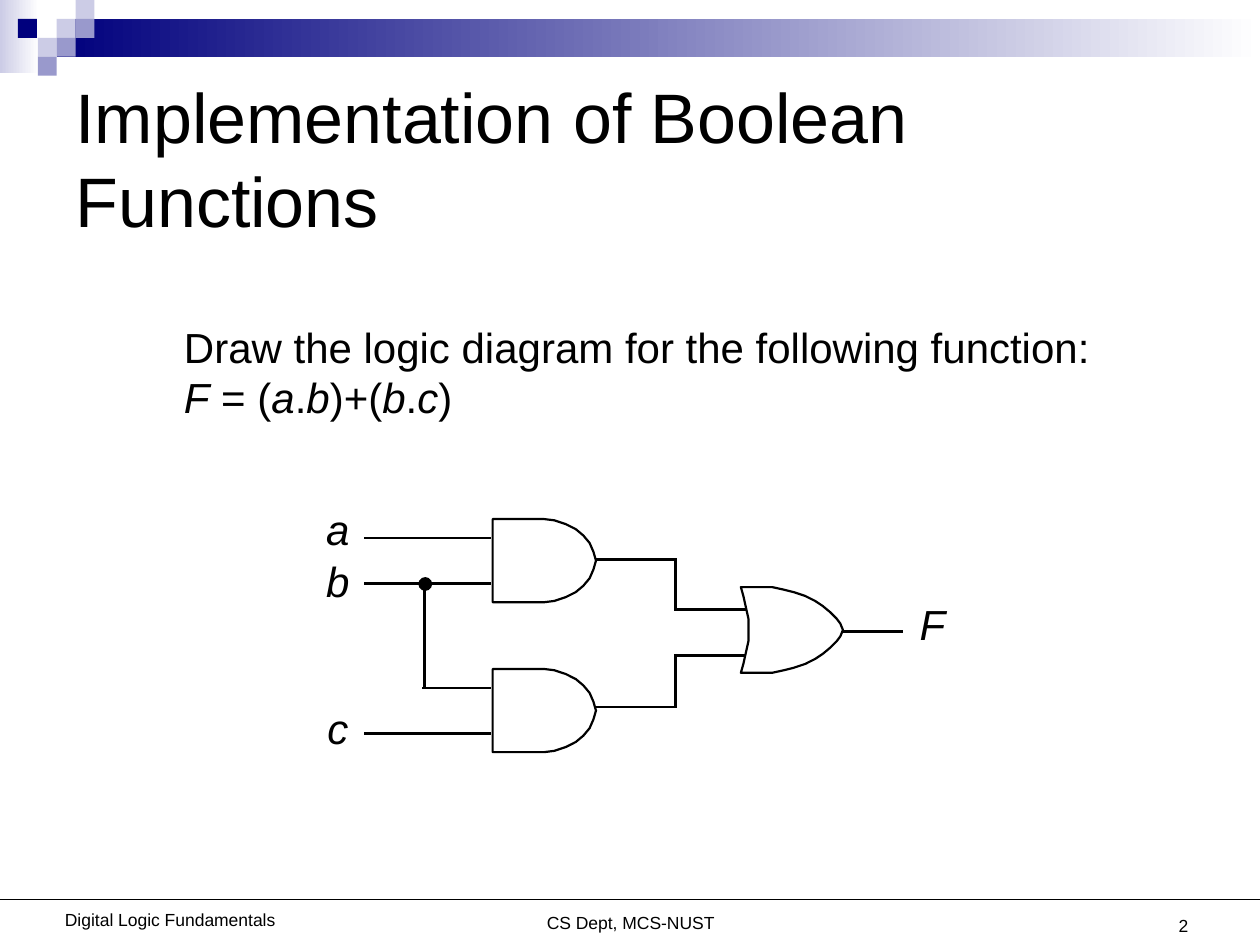
from dataclasses import dataclass

import pptx
import pptx.dml.color
import pptx.enum.shapes
import pptx.enum.text
import pptx.oxml.ns
import pptx.util
from lxml import etree

Inches = pptx.util.Inches
Pt = pptx.util.Pt
RGB = pptx.dml.color.RGBColor.from_string
SHAPE = pptx.enum.shapes.MSO_SHAPE
ALIGN = pptx.enum.text.PP_ALIGN
ANCHOR = pptx.enum.text.MSO_ANCHOR


@dataclass(frozen=True)
class Theme:
    font: str = "Arial"
    ink: str = "000000"
    paper: str = "FFFFFF"
    navy: str = "00007D"
    lilac: str = "CCCCE6"
    violet: str = "9999CC"
    title_size: float = 40
    body_size: float = 24
    footer_size: float = 10
    wire: float = 1.5
    outline: float = 1.25
    rule: float = 0.75


THEME = Theme()


@dataclass(frozen=True)
class Box:
    x: float
    y: float
    w: float
    h: float

    def lengths(self) -> list[int]:
        return [Inches(v) for v in (self.x, self.y, self.w, self.h)]


@dataclass(frozen=True)
class Wire:
    x1: float
    y1: float
    x2: float
    y2: float
    width: float = THEME.wire


@dataclass(frozen=True)
class Label:
    text: str
    box: Box


Point = tuple[float, float]

TILE = 0.15
TILES = [  # column, row, colour; columns count from x = 0.3
    (1, 1, THEME.lilac), (2, 0, THEME.lilac), (2, 1, THEME.violet),
    (0, 2, THEME.lilac), (-1.05, 1, THEME.navy), (1, 2, THEME.violet),
    (0, 3, THEME.violet),
]

# Upper halves of the gate outlines, relative to the left end of the centre line.
AND_HALF = [(0, -0.33), (0.41, -0.33), (0.49, -0.32), (0.58, -0.29), (0.66, -0.25),
            (0.72, -0.2), (0.77, -0.14), (0.8, -0.07), (0.82, 0)]
OR_HALF = [(0.06, 0), (0.06, -0.09), (0.04, -0.18), (0.02, -0.27), (0, -0.34),
           (0.25, -0.34), (0.34, -0.32), (0.42, -0.3), (0.51, -0.27), (0.59, -0.23),
           (0.65, -0.19), (0.71, -0.14), (0.76, -0.09), (0.79, -0.05), (0.81, 0)]

WIRES = [
    Wire(2.89, 4.27, 3.9, 4.27),
    Wire(2.89, 4.63, 3.9, 4.63),
    Wire(3.37, 4.62, 3.37, 5.45),
    Wire(3.35, 5.46, 3.9, 5.46),
    Wire(2.89, 5.82, 3.9, 5.82),
    Wire(4.73, 4.44, 5.37, 4.44),
    Wire(5.36, 4.43, 5.36, 4.85),
    Wire(5.37, 4.84, 5.92, 4.84),
    Wire(4.73, 5.61, 5.37, 5.61),
    Wire(5.36, 5.19, 5.36, 5.61),
    Wire(5.37, 5.2, 5.91, 5.2),
    Wire(6.69, 5.01, 7.17, 5.01),
]

SIGNALS = [
    Label("a", Box(2.49, 3.95, 0.38, 0.5)),
    Label("b", Box(2.49, 4.36, 0.38, 0.5)),
    Label("c", Box(2.5, 5.53, 0.36, 0.5)),
    Label("F", Box(7.2, 4.7, 0.4, 0.5)),
]

FOOTERS = [
    Label("CS Dept, MCS-NUST", Box(2.92, 7.17, 4.17, 0.3)),
    Label("Digital Logic Fundamentals", Box(0.35, 7.15, 2, 0.3)),
]


def write_text(tf, text: str, *, size: float, align=ALIGN.LEFT, anchor=ANCHOR.TOP,
               wrap: bool = True, indent: float = 0) -> None:
    """Fill a text frame; parts between asterisks become italic."""
    tf.word_wrap = wrap
    tf.auto_size = pptx.enum.text.MSO_AUTO_SIZE.NONE
    tf.vertical_anchor = anchor
    tf.margin_left = Inches(0.1 + indent)
    tf.margin_right = Inches(0.1)
    tf.margin_top = tf.margin_bottom = Inches(0.05)
    p = tf.paragraphs[0]
    p.alignment = align
    for i, part in enumerate(text.split("*")):
        if part:
            r = p.add_run()
            r.text = part
            r.font.name = THEME.font
            r.font.size = Pt(size)
            r.font.italic = i % 2 == 1
            r.font.color.rgb = RGB(THEME.ink)


def add_text(s, text: str, box: Box, **fmt) -> None:
    write_text(s.shapes.add_textbox(*box.lengths()).text_frame, text, **fmt)


def add_filled(s, kind, box: Box, *colors: str) -> None:
    """Draw a borderless shape; two colours give a left-to-right gradient."""
    sp = s.shapes.add_shape(kind, *box.lengths())
    sp.shadow.inherit = False
    sp.line.fill.background()
    if len(colors) == 1:
        sp.fill.solid()
        sp.fill.fore_color.rgb = RGB(colors[0])
    else:
        sp.fill.gradient()
        sp.fill.gradient_angle = 0
        for stop, color in zip(sp.fill.gradient_stops, colors):
            stop.color.rgb = RGB(color)


def add_wire(s, wire: Wire) -> None:
    ends = [Inches(v) for v in (wire.x1, wire.y1, wire.x2, wire.y2)]
    sp = s.shapes.add_connector(pptx.enum.shapes.MSO_CONNECTOR.STRAIGHT, *ends)
    sp.line.color.rgb = RGB(THEME.ink)
    sp.line.width = Pt(wire.width)
    etree.SubElement(sp._element.spPr, pptx.oxml.ns.qn("a:effectLst"))


def add_gate(s, half: list[Point], x: float, y: float) -> None:
    """Mirror the upper half about the centre line at y and draw the outline."""
    lower = [(dx, -dy) for dx, dy in reversed(half) if dy]
    points = [(Inches(x + dx), Inches(y + dy)) for dx, dy in half + lower]
    builder = s.shapes.build_freeform(*points[0])
    builder.add_line_segments(points[1:], close=True)
    sp = builder.convert_to_shape()
    sp.shadow.inherit = False
    sp.fill.solid()
    sp.fill.fore_color.rgb = RGB(THEME.paper)
    sp.line.color.rgb = RGB(THEME.ink)
    sp.line.width = Pt(THEME.outline)


def add_decoration(s) -> None:
    add_filled(s, SHAPE.RECTANGLE, Box(0, 0, 0.31, 0.58), THEME.lilac, THEME.paper)
    add_filled(s, SHAPE.RECTANGLE, Box(0.45, 0.15, 9.55, 0.3), THEME.navy, THEME.paper)
    for col, row, color in TILES:
        tile = Box(0.3 + col * TILE, row * TILE, TILE, TILE)
        add_filled(s, SHAPE.RECTANGLE, tile, color)


def add_footer(s) -> None:
    for label in FOOTERS:
        add_text(s, label.text, label.box, size=THEME.footer_size,
                 align=ALIGN.CENTER, anchor=ANCHOR.MIDDLE)
    add_wire(s, Wire(0, 7.14, 10, 7.14, THEME.rule))
    add_text(s, "2", Box(7.2, 6.98, 2.33, 0.5), size=THEME.footer_size,
             align=ALIGN.RIGHT, anchor=ANCHOR.BOTTOM)


def add_circuit(s) -> None:
    for wire in WIRES:
        add_wire(s, wire)
    for y in (4.45, 5.64):
        add_gate(s, AND_HALF, 3.91, y)
    add_gate(s, OR_HALF, 5.88, 5)
    add_filled(s, SHAPE.OVAL, Box(3.32, 4.58, 0.11, 0.11), THEME.ink)
    for label in SIGNALS:
        add_text(s, f"*{label.text}*", label.box, size=THEME.body_size, wrap=False)


def main() -> None:
    prs = pptx.Presentation()
    prs.slide_width, prs.slide_height = Inches(10), Inches(7.5)
    s = prs.slides.add_slide(prs.slide_layouts[5])
    add_decoration(s)
    add_footer(s)
    title = s.shapes.title
    title.left, title.top, title.width, title.height = Box(0.5, 0.5, 9, 1.5).lengths()
    write_text(title.text_frame, "Implementation of Boolean Functions",
               size=THEME.title_size, anchor=ANCHOR.MIDDLE)
    add_text(s, "Draw the logic diagram for the following function: "
             "*F* = (*a*.*b*)+(*b*.*c*)", Box(0.86, 2.5, 8.12, 0.9),
             size=THEME.body_size, indent=0.5)
    add_circuit(s)
    prs.save("out.pptx")


if __name__ == "__main__":
    main()
